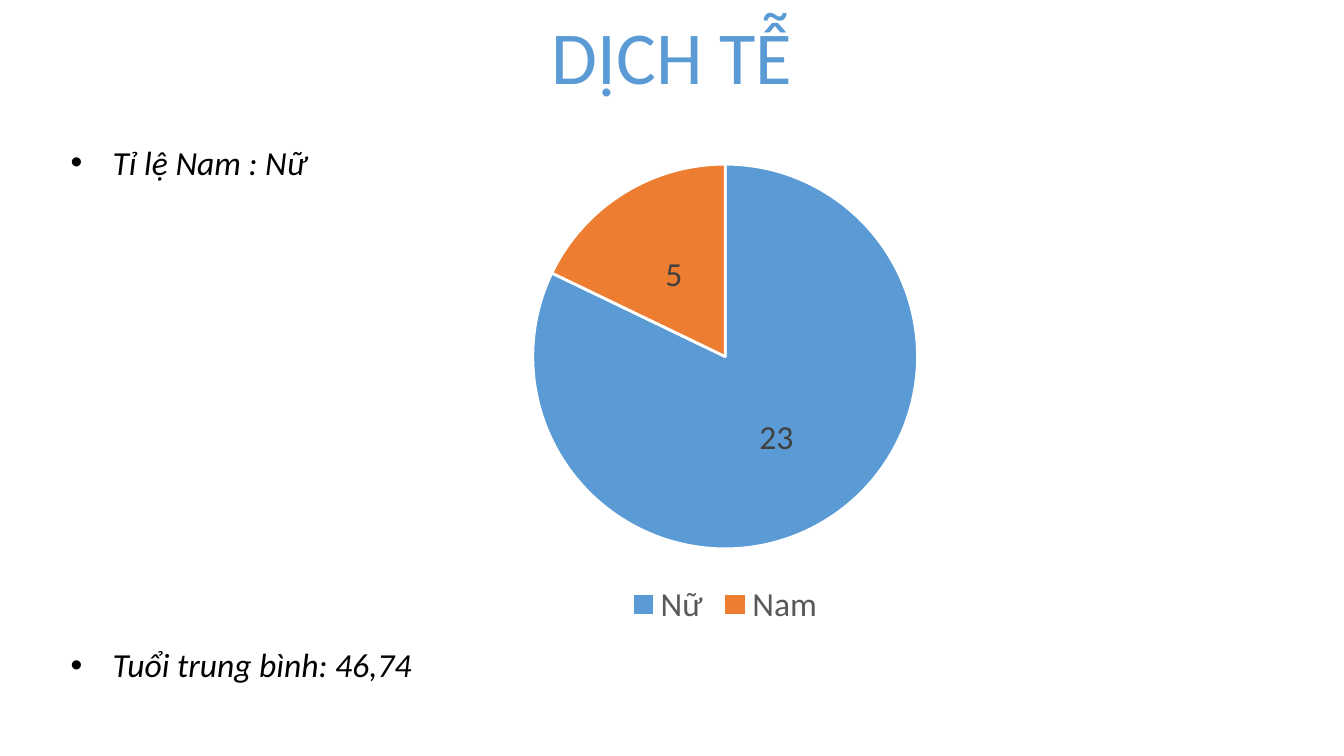
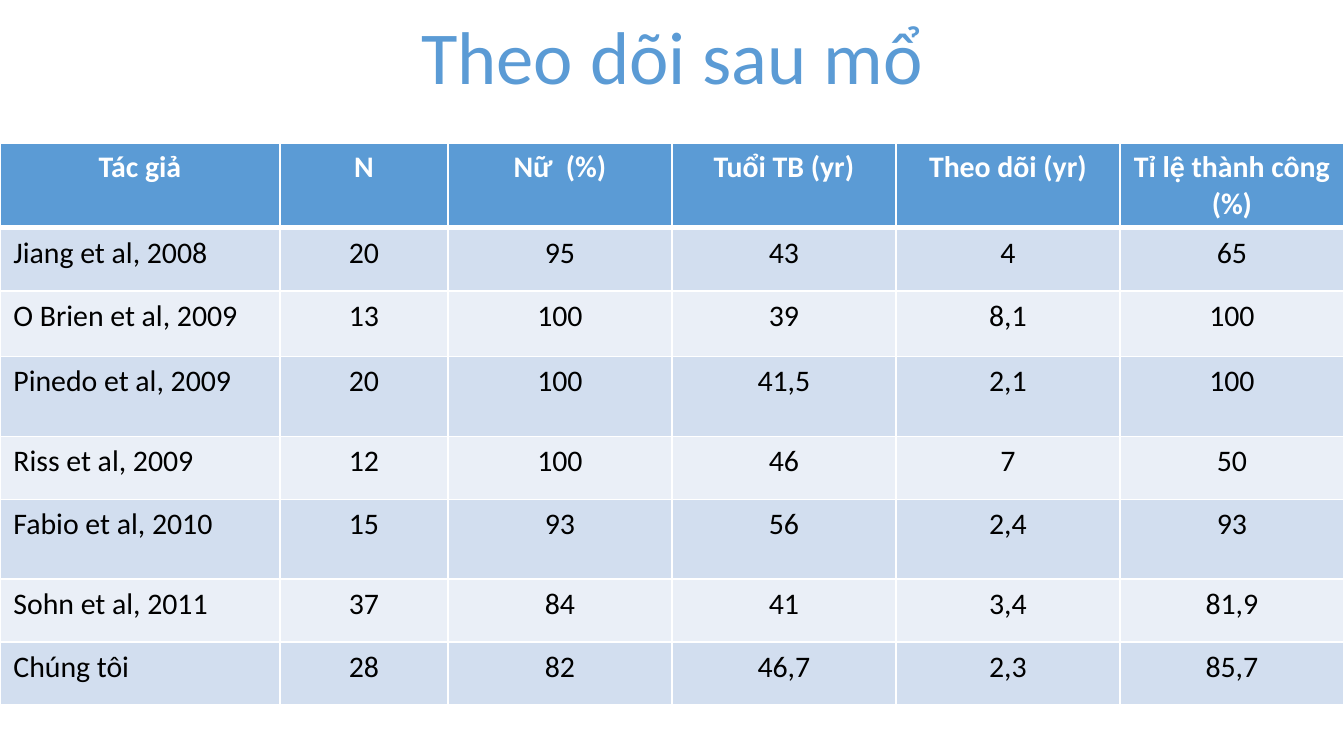
from lxml.etree import SubElement as Sub
from pptx import Presentation
from pptx.chart.data import CategoryChartData as Data
from pptx.dml.color import RGBColor
from pptx.enum.chart import XL_CHART_TYPE as Kind, XL_LABEL_POSITION as Spot, XL_LEGEND_POSITION as Side
from pptx.enum.text import MSO_ANCHOR as Anchor, PP_ALIGN as Align
from pptx.oxml.ns import qn
from pptx.util import Pt

PX = 9525
FACE = "Calibri"
BLUE = RGBColor(0x5B, 0x9B, 0xD5)
ORANGE = RGBColor(0xED, 0x7D, 0x31)
WHITE = RGBColor(0xFF, 0xFF, 0xFF)
BLACK = RGBColor(0, 0, 0)
GREY = RGBColor(0x59, 0x59, 0x59)
DARK = RGBColor(0x40, 0x40, 0x40)
BANDS = [RGBColor(0xD2, 0xDE, 0xEF), RGBColor(0xEA, 0xEF, 0xF7)]


def style(font, size, color, **more):
    for key, val in {"name": FACE, "size": Pt(size), **more}.items():
        setattr(font, key, val)
    font.color.rgb = color


def add_box(slide, *rect):
    """Add a wrapping, middle-anchored text box at a px rectangle."""
    frame = slide.shapes.add_textbox(*[n * PX for n in rect]).text_frame
    frame.word_wrap = True
    frame.vertical_anchor = Anchor.MIDDLE
    return frame


deck = Presentation()
deck.slide_width, deck.slide_height = 960 * PX, 540 * PX

# Both slides share the title style
slides = []
for title in ["DỊCH TỄ", "Theo dõi sau mổ"]:
    slide = deck.slides.add_slide(deck.slide_layouts[6])
    para = add_box(slide, 0, 13, 960, 60).paragraphs[0]
    para.text = title
    para.alignment = Align.CENTER
    para.line_spacing = 0.9
    style(para.font, 40, BLUE)
    slides.append(slide)
first, second = slides

# Slide 1: two facts, with the pie between them
facts = add_box(first, 41, 119, 960, 393)
facts.margin_bottom = 42 * PX
for i, text in enumerate(["Tỉ lệ Nam : Nữ", "Tuổi trung bình: 46,74"]):
    para = facts.add_paragraph() if i else facts.paragraphs[0]
    para.text = text
    para.line_spacing = 0.9
    if i:
        para.space_before = Pt(250)
    props = para._p.get_or_add_pPr()
    props.set("marL", str(30 * PX))
    props.set("indent", str(-30 * PX))
    Sub(props, qn("a:buFont"), typeface="Arial")
    Sub(props, qn("a:buChar"), char="•")
    style(para.font, 18, BLACK, italic=True)

data = Data()
data.categories = ["Nữ", "Nam"]
data.add_series("Series 1", [23, 5])
area = [n * PX for n in (238, 104, 560, 347)]
chart = first.shapes.add_chart(Kind.PIE, *area, data).chart
style(chart.font, 10, BLACK)
chart.has_title = False
chart.has_legend = True
chart.legend.position = Side.BOTTOM
chart.legend.include_in_layout = False
style(chart.legend.font, 18, GREY)
plot = chart.plots[0]
plot.vary_by_categories = True
for i, color in enumerate([BLUE, ORANGE]):
    form = plot.series[0].points[i].format
    form.fill.solid()
    form.fill.fore_color.rgb = color
    form.line.color.rgb = WHITE
    form.line.width = Pt(1.5)
plot.has_data_labels = True
labels = plot.data_labels
labels.show_value = True
labels.show_percentage = False
labels.position = Spot.CENTER
style(labels.font, 18, DARK)

# Slide 2: follow-up results by author
rows = [
    ["Tác giả", "N", "Nữ  (%)", "Tuổi TB (yr)", "Theo dõi (yr)", "Tỉ lệ thành công (%)"],
    ["Jiang et al, 2008", "20", "95", "43", "4", "65"],
    ["O Brien et al, 2009", "13", "100", "39", "8,1", "100"],
    ["Pinedo et al, 2009", "20", "100", "41,5", "2,1", "100"],
    ["Riss et al, 2009", "12", "100", "46", "7", "50"],
    ["Fabio et al, 2010", "15", "93", "56", "2,4", "93"],
    ["Sohn et al, 2011", "37", "84", "41", "3,4", "81,9"],
    ["Chúng tôi", "28", "82", "46,7", "2,3", "85,7"],
]
wide = [200, 120] + [160] * 4
high = [57, 45, 47, 57, 45, 57, 45, 45]
area = [n * PX for n in (0, 102, sum(wide), sum(high))]
table = second.shapes.add_table(len(rows), len(wide), *area).table
table.horz_banding = False
for col, width in zip(table.columns, wide):
    col.width = width * PX
for r, row in enumerate(rows):
    table.rows[r].height = high[r] * PX
    for c, text in enumerate(row):
        cell = table.cell(r, c)
        para = cell.text_frame.paragraphs[0]
        para.text = text
        para.alignment = Align.LEFT if r and not c else Align.CENTER
        style(para.font, 16, BLACK if r else WHITE, bold=r == 0)
        props = cell._tc.get_or_add_tcPr()
        for side in "LRTB":
            heavy = (r, side) in [(0, "B"), (1, "T")]
            line = Sub(props, qn(f"a:ln{side}"), w=str(Pt(3 if heavy else 1)))
            Sub(Sub(line, qn("a:solidFill")), qn("a:srgbClr"), val=str(WHITE))
        cell.fill.solid()
        cell.fill.fore_color.rgb = BANDS[(r - 1) % 2] if r else BLUE

deck.save("out.pptx")
